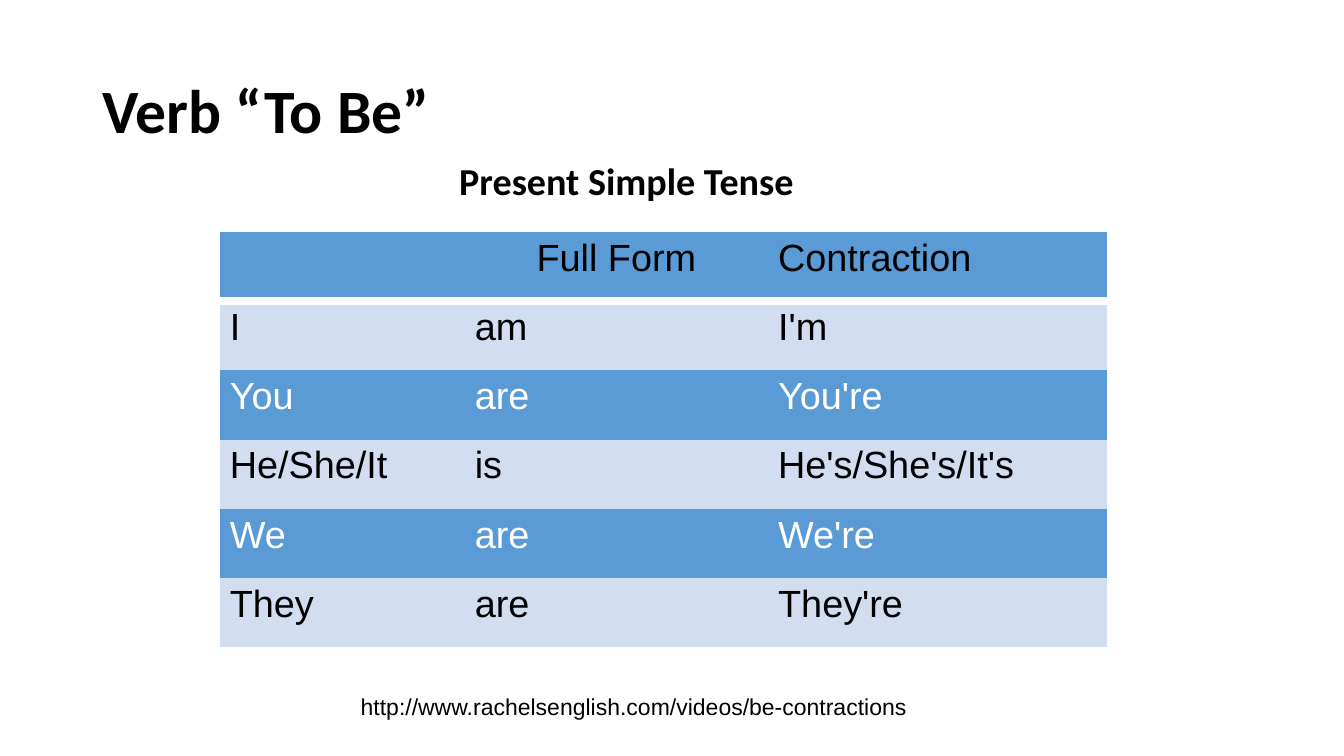
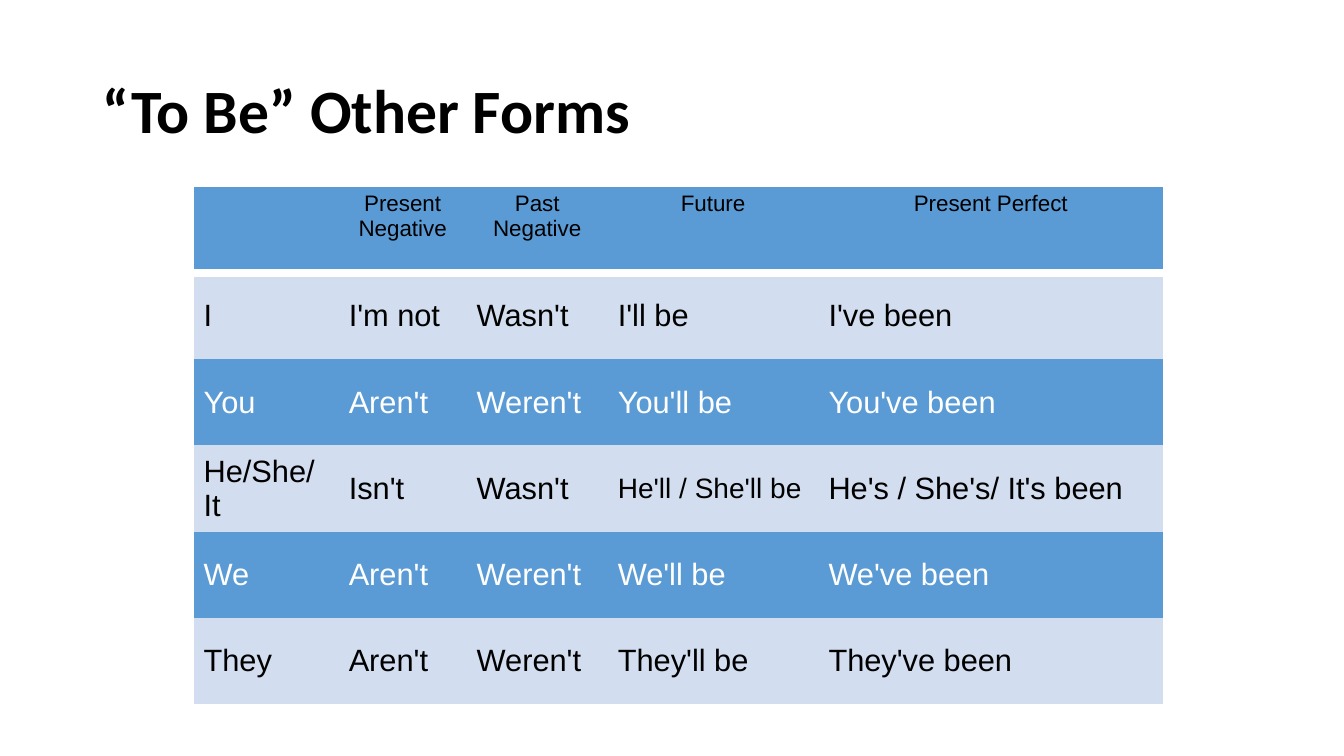
import pptx
import pptx.util
import pptx.dml.color
import pptx.enum.text
import pptx.oxml
import pptx.oxml.ns

Inches, Pt = pptx.util.Inches, pptx.util.Pt
ALIGN, ANCHOR = pptx.enum.text.PP_ALIGN, pptx.enum.text.MSO_ANCHOR

SLIDE_W, SLIDE_H = Inches(13.33), Inches(7.5)
COLORS = {"text": "000000", "light": "FFFFFF", "blue": "5B9BD5", "pale": "D2DEEF"}
HEADING_FONT, BODY_FONT = "Calibri", "Arial"
PLAIN_TABLE_STYLE = "{2D5ABB26-0587-4C30-8999-92F81FD0307C}"
TITLE_BOX = (6.9, 5.33, 86.25, 19.33)


def rgb(name):
    return pptx.dml.color.RGBColor.from_string(COLORS[name])


def place(box):
    """Turn left, top, width, height in percent of the slide into lengths."""
    x, y, w, h = box
    return [int(side * share / 100) for side, share in
            ((SLIDE_W, x), (SLIDE_H, y), (SLIDE_W, w), (SLIDE_H, h))]


def style(p, size, font, color="text", bold=False, align=ALIGN.LEFT):
    p.alignment = align
    p.font.size = Pt(size)
    p.font.name = font
    p.font.bold = bold
    p.font.color.rgb = rgb(color)


def add_text(slide, box, text, size, font, anchor=ANCHOR.TOP, wrap=True, **look):
    tf = slide.shapes.add_textbox(*place(box)).text_frame
    tf.word_wrap = wrap
    tf.vertical_anchor = anchor
    p = tf.paragraphs[0]
    p.text = text
    style(p, size, font, **look)
    return p


def add_title(slide, text):
    p = add_text(slide, TITLE_BOX, text, 44, HEADING_FONT, ANCHOR.MIDDLE, bold=True)
    p.line_spacing = 0.9


def underline_cell(cell):
    line = pptx.oxml.parse_xml(
        f'<a:lnB {pptx.oxml.ns.nsdecls("a")} w="{Pt(6)}"><a:solidFill>'
        f'<a:srgbClr val="{COLORS["light"]}"/></a:solidFill></a:lnB>')
    cell._tc.get_or_add_tcPr().insert(0, line)


def add_banded_table(slide, box, rows, col_weights, size, head_size,
                     anchor=ANCHOR.TOP, left_heads=(), sizes=None):
    """Blue header, then pale and blue rows; sizes maps (row, column) to exceptions."""
    x, y, w, h = place(box)
    frame = slide.shapes.add_table(len(rows), len(col_weights), x, y, w, h)
    table = frame.table
    table._tbl.tblPr.find(pptx.oxml.ns.qn("a:tableStyleId")).text = PLAIN_TABLE_STYLE
    for col, weight in zip(table.columns, col_weights):
        col.width = int(w * weight / sum(col_weights))
    for r, row in enumerate(rows):
        table.rows[r].height = h // len(rows)
        blue = r % 2 == 0
        for c, text in enumerate(row):
            cell = table.cell(r, c)
            cell.fill.solid()
            cell.fill.fore_color.rgb = rgb("blue" if blue else "pale")
            p = cell.text_frame.paragraphs[0]
            p.text = text
            if r == 0:
                underline_cell(cell)
                align = ALIGN.LEFT if text in left_heads else ALIGN.CENTER
                style(p, head_size, BODY_FONT, align=align)
            else:
                cell.vertical_anchor = anchor
                style(p, (sizes or {}).get((r, c), size), BODY_FONT,
                      "light" if blue else "text")


def present_simple_slide(slide):
    add_title(slide, "Verb “To Be”")
    add_banded_table(slide, (16.35, 30.67, 66, 54.93), [
        ("", "Full Form", "Contraction"),
        ("I", "am", "I'm"),
        ("You", "are", "You're"),
        ("He/She/It", "is", "He's/She's/It's"),
        ("We", "are", "We're"),
        ("They", "are", "They're"),
    ], (2.43, 3.01, 3.36), 27, 27, left_heads=("Contraction",))
    add_text(slide, (26.1, 90.93, 50.33, 7.07),
             "http://www.rachelsenglish.com/videos/be-contractions", 16.4, BODY_FONT)
    add_text(slide, (33.23, 20.13, 26.78, 7.47), "Present Simple Tense", 27.2,
             HEADING_FONT, wrap=False, bold=True, align=ALIGN.CENTER)


def other_forms_slide(slide):
    add_title(slide, "“To Be” Other Forms")
    add_banded_table(slide, (14.4, 24.67, 72.15, 68.53), [
        ("", "Present Negative", "Past Negative", "Future", "Present Perfect"),
        ("I", "I'm not", "Wasn't", "I'll be", "I've been"),
        ("You", "Aren't", "Weren't", "You'll be", "You've been"),
        ("He/She/It", "Isn't", "Wasn't", "He'll / She'll be", "He's / She's/ It's been"),
        ("We", "Aren't", "Weren't", "We'll be", "We've been"),
        ("They", "Aren't", "Weren't", "They'll be", "They've been"),
    ], (1.44, 1.27, 1.4, 2.09, 3.42), 22, 16, ANCHOR.MIDDLE, sizes={(3, 3): 20})


def main():
    prs = pptx.Presentation()
    prs.slide_width, prs.slide_height = SLIDE_W, SLIDE_H
    for build in (present_simple_slide, other_forms_slide):
        build(prs.slides.add_slide(prs.slide_layouts[6]))
    prs.save("out.pptx")


if __name__ == "__main__":
    main()
